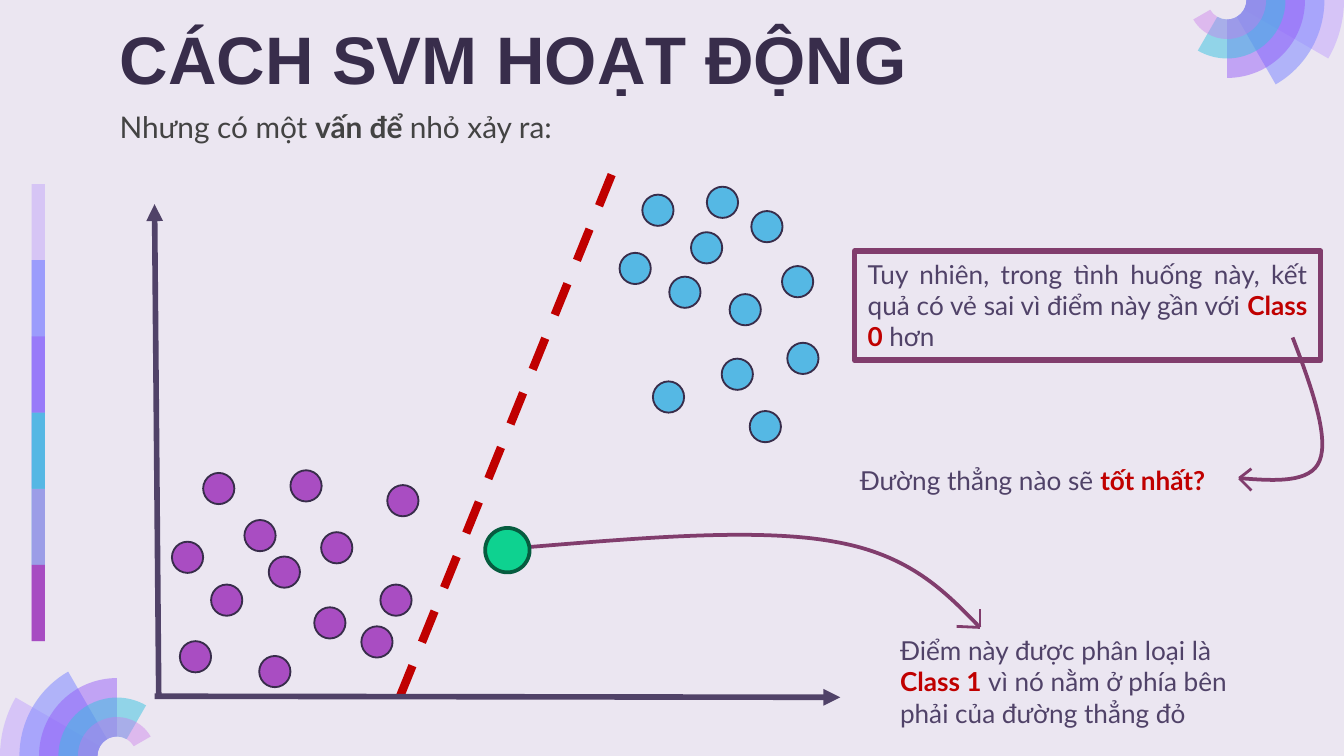
import math
from typing import NamedTuple

from lxml import etree
from pptx import Presentation
from pptx.dml.color import RGBColor
from pptx.enum.dml import MSO_LINE
from pptx.enum.shapes import MSO_CONNECTOR, MSO_SHAPE
from pptx.enum.text import MSO_ANCHOR, PP_ALIGN
from pptx.oxml.ns import qn
from pptx.util import Cm, Pt

STRAIGHT = MSO_CONNECTOR.STRAIGHT
DASH = MSO_LINE.DASH
OVAL, RECTANGLE = MSO_SHAPE.OVAL, MSO_SHAPE.RECTANGLE
TOP = MSO_ANCHOR.TOP
LEFT, JUSTIFY = PP_ALIGN.LEFT, PP_ALIGN.JUSTIFY

BACKGROUND = RGBColor(0xEB, 0xE6, 0xF1)
NAVY = RGBColor(0x38, 0x2D, 0x4B)
INK = RGBColor(0x50, 0x42, 0x68)
GREY = RGBColor(0x43, 0x43, 0x43)
RED = RGBColor(0xC0, 0x00, 0x00)
PLUM = RGBColor(0x81, 0x3D, 0x6D)
PURPLE = RGBColor(0xA9, 0x4D, 0xC2)
BLUE = RGBColor(0x55, 0xB8, 0xE4)
GREEN = RGBColor(0x0E, 0xD2, 0x90)
DARK_GREEN = RGBColor(0x06, 0x5C, 0x3F)
LILAC = RGBColor(0xC8, 0xAC, 0xFD)
PALE_LILAC = RGBColor(0xC8, 0xAE, 0xF8)
PERIWINKLE = RGBColor(0x87, 0x8F, 0xFF)
VIOLET = RGBColor(0x91, 0x54, 0xF8)
CYAN = RGBColor(0x35, 0xC2, 0xDF)
ORCHID = RGBColor(0xCA, 0x7B, 0xEB)
MAGENTA = RGBColor(0x97, 0x2C, 0xB4)

Point = tuple[float, float]
Segment = list[Point]


class Tint(NamedTuple):
    color: RGBColor
    opacity: int


class Box(NamedTuple):
    left: float
    top: float
    width: float
    height: float


class Run(NamedTuple):
    text: str
    color: RGBColor
    bold: bool = False


class TextBlock(NamedTuple):
    box: Box
    runs: list[Run]
    size: float = 14
    font: str = "Lato"
    alignment: PP_ALIGN = LEFT
    top_inset: float = 0.13
    border: RGBColor | None = None


class Arrow(NamedTuple):
    start: Point
    segments: list[Segment]
    barbs: list[Point]


FAN_RADIUS = 2.21
FANS = [((FAN_RADIUS, 14.29), 1), ((23.19, 0), -1)]
FAN_TINTS = [Tint(LILAC, 58), Tint(PERIWINKLE, 58), Tint(VIOLET, 46),
             Tint(CYAN, 49), Tint(ORCHID, 42)]
BAR_STEP = 1.44
BAR_TINTS = [Tint(PALE_LILAC, 59), Tint(PERIWINKLE, 74), Tint(VIOLET, 53),
             Tint(CYAN, 76), Tint(ORCHID, 56), Tint(MAGENTA, 74)]
DOT_SIZE = 0.59
CLASSES = {
    PURPLE: [(3.4, 12.12), (3.99, 11.05), (3.25, 10.24), (3.84, 8.94),
             (4.62, 9.83), (5.08, 10.52), (5.94, 11.48), (4.9, 12.4),
             (5.49, 8.89), (6.07, 10.06), (7.32, 9.17), (7.19, 11.05),
             (6.83, 11.84)],
    BLUE: [(14.2, 3.99), (14.78, 5.03), (14.88, 6.48), (14.17, 7.77),
           (12.34, 7.21), (13.79, 5.56), (13.64, 6.78), (12.65, 5.23),
           (13.06, 4.39), (13.36, 3.53), (12.14, 3.68), (11.71, 4.78)],
}
AXES = [((3, 13.18), (2.92, 3.86)), ((2.92, 13.16), (15.88, 13.18))]
ARROWS = [
    Arrow((10.01, 10.34),
          [[(12.19, 10.16), (14.35, 9.98), (15.77, 10.24)],
           [(17.2, 10.49), (17.86, 11.18), (18.52, 11.86)]],
          [(18.52, 11.51), (18.08, 11.84)]),
    Arrow((24.43, 6.38),
          [[(24.79, 7.32), (25.12, 8.26), (24.94, 8.71)],
           [(24.77, 9.14), (24.08, 9.09), (23.42, 9.04)]],
          [(23.65, 8.86), (23.65, 9.27)]),
]
TEXTS = [
    TextBlock(Box(2.01, 0.08, 21.41, 1.6), [Run("CÁCH SVM HOẠT ĐỘNG", NAVY, True)],
              36, "Arial", top_inset=0.25),
    TextBlock(Box(2.01, 1.93, 22.1, 0.94),
              [Run("Nhưng có một ", GREY), Run("vấn để ", GREY, True),
               Run("nhỏ xảy ra:", GREY)], 16, alignment=JUSTIFY),
    TextBlock(Box(16.76, 11.86, 7.26, 2.06),
              [Run("Điểm này được phân loại là ", INK), Run("Class 1 ", RED, True),
               Run("vì nó nằm ở phía bên phải của đường thẳng đỏ", INK)]),
    TextBlock(Box(16.15, 4.75, 8.81, 2.06),
              [Run("Tuy nhiên, trong tình huống này, kết quả có vẻ sai vì điểm này "
                   "gần với ", INK), Run("Class 0 ", RED, True), Run("hơn", INK)],
              alignment=JUSTIFY, border=PLUM),
    TextBlock(Box(16, 8.65, 7.54, 0.86),
              [Run("Đường thẳng nào sẽ ", INK), Run("tốt nhất?", RED, True)]),
]


def fill_shape(shape, tint: Tint) -> None:
    shape.shadow.inherit = False
    shape.fill.solid()
    shape.fill.fore_color.rgb = tint.color
    if tint.opacity < 100:
        color = shape.fill._xPr.find(qn("a:solidFill"))[0]
        etree.SubElement(color, qn("a:alpha"), val=str(tint.opacity * 1000))


def set_line(shape, color: RGBColor, width: float) -> None:
    shape.line.color.rgb = color
    shape.line.width = Pt(width)


def add_preset(slide, kind: MSO_SHAPE, box: Box, tint: Tint):
    shape = slide.shapes.add_shape(kind, *map(Cm, box))
    fill_shape(shape, tint)
    shape.line.fill.background()
    return shape


def add_outline(slide, start: Point, segments: list[Segment], close: bool):
    """Draw one-point segments as lines and three-point segments as Bézier curves."""
    builder = slide.shapes.build_freeform(*map(Cm, start))
    builder.add_line_segments(
        [(Cm(x), Cm(y)) for segment in segments for x, y in segment], close=close)
    shape = builder.convert_to_shape()
    shape.shadow.inherit = False
    steps = iter(list(shape._element.iter(qn("a:lnTo"))))
    for segment in segments:
        first, *others = [next(steps) for _ in segment]
        if others:
            curve = etree.Element(qn("a:cubicBezTo"))
            first.addprevious(curve)
            for step in (first, *others):
                curve.append(step[0])
                step.getparent().remove(step)
    return shape


def add_line(slide, start: Point, end: Point, color: RGBColor, width: float):
    line = slide.shapes.add_connector(STRAIGHT, *map(Cm, start + end))
    set_line(line, color, width)
    etree.SubElement(line._element.spPr, qn("a:effectLst"))
    return line


def add_fan(slide, center: Point, direction: int) -> None:
    def locate(radius: float, angle: float, tangent: float = 0) -> Point:
        cosine, sine = math.cos(math.radians(angle)), math.sin(math.radians(angle))
        return (center[0] + direction * radius * (cosine - tangent * sine),
                center[1] - direction * radius * (sine + tangent * cosine))

    def arc(radius: float, start: float, end: float) -> Segment:
        handle = 4 / 3 * math.tan(math.radians(end - start) / 4)
        return [locate(radius, start, handle), locate(radius, end, -handle),
                locate(radius, end)]

    inner = FAN_RADIUS / 6
    for index, tint in enumerate(FAN_TINTS):
        end = 150 - 30 * index
        outer = FAN_RADIUS * (6 - index) / 6
        spans = [(180, max(end, 90))] + ([(90, end)] if end < 90 else [])
        segments = [arc(outer, *span) for span in spans]
        segments.append([locate(inner, end)])
        segments += [arc(inner, stop, start) for start, stop in reversed(spans)]
        shape = add_outline(slide, locate(outer, 180), segments, True)
        fill_shape(shape, tint)
        shape.line.fill.background()


def add_arrow(slide, arrow: Arrow) -> None:
    shape = add_outline(slide, arrow.start, arrow.segments, False)
    shape.fill.background()
    set_line(shape, PLUM, 2)
    for barb in arrow.barbs:
        add_line(slide, arrow.segments[-1][-1], barb, PLUM, 1.5)


def add_text(slide, block: TextBlock) -> None:
    if block.border:
        shape = slide.shapes.add_shape(RECTANGLE, *map(Cm, block.box))
        shape.shadow.inherit = False
        shape.fill.background()
        set_line(shape, block.border, 3)
    else:
        shape = slide.shapes.add_textbox(*map(Cm, block.box))
    frame = shape.text_frame
    frame.word_wrap = True
    frame.vertical_anchor = TOP
    frame.margin_top = Cm(block.top_inset)
    paragraph = frame.paragraphs[0]
    paragraph.alignment = block.alignment
    paragraph.font.name = block.font
    paragraph.font.size = Pt(block.size)
    for item in block.runs:
        run = paragraph.add_run()
        run.text = item.text
        run.font.color.rgb = item.color
        run.font.bold = item.bold


def main() -> None:
    presentation = Presentation()
    presentation.slide_width, presentation.slide_height = Cm(25.4), Cm(14.29)
    slide = presentation.slides.add_slide(presentation.slide_layouts[6])
    slide.background.fill.solid()
    slide.background.fill.fore_color.rgb = BACKGROUND
    for center, direction in FANS:
        add_fan(slide, center, direction)
    add_line(slide, (11.56, 3.3), (7.52, 13.26), RED, 4.5).line.dash_style = DASH
    for index, tint in enumerate(BAR_TINTS):
        height = BAR_STEP * (1 if tint is BAR_TINTS[-1] else 2)
        add_preset(slide, RECTANGLE, Box(0.6, 3.48 + index * BAR_STEP, 0.25, height), tint)
    for block in TEXTS:
        add_text(slide, block)
    for arrow in ARROWS:
        add_arrow(slide, arrow)
    new_point = add_preset(slide, OVAL, Box(9.17, 9.98, 0.84, 0.84), Tint(GREEN, 100))
    set_line(new_point, DARK_GREEN, 2)
    for start, end in AXES:
        axis = add_line(slide, start, end, INK, 3)
        etree.SubElement(axis.line._get_or_add_ln(), qn("a:tailEnd"), type="triangle")
    for color, positions in CLASSES.items():
        for position in positions:
            dot = add_preset(slide, OVAL, Box(*position, DOT_SIZE, DOT_SIZE), Tint(color, 100))
            set_line(dot, NAVY, 1)
    presentation.save("out.pptx")


if __name__ == "__main__":
    main()
